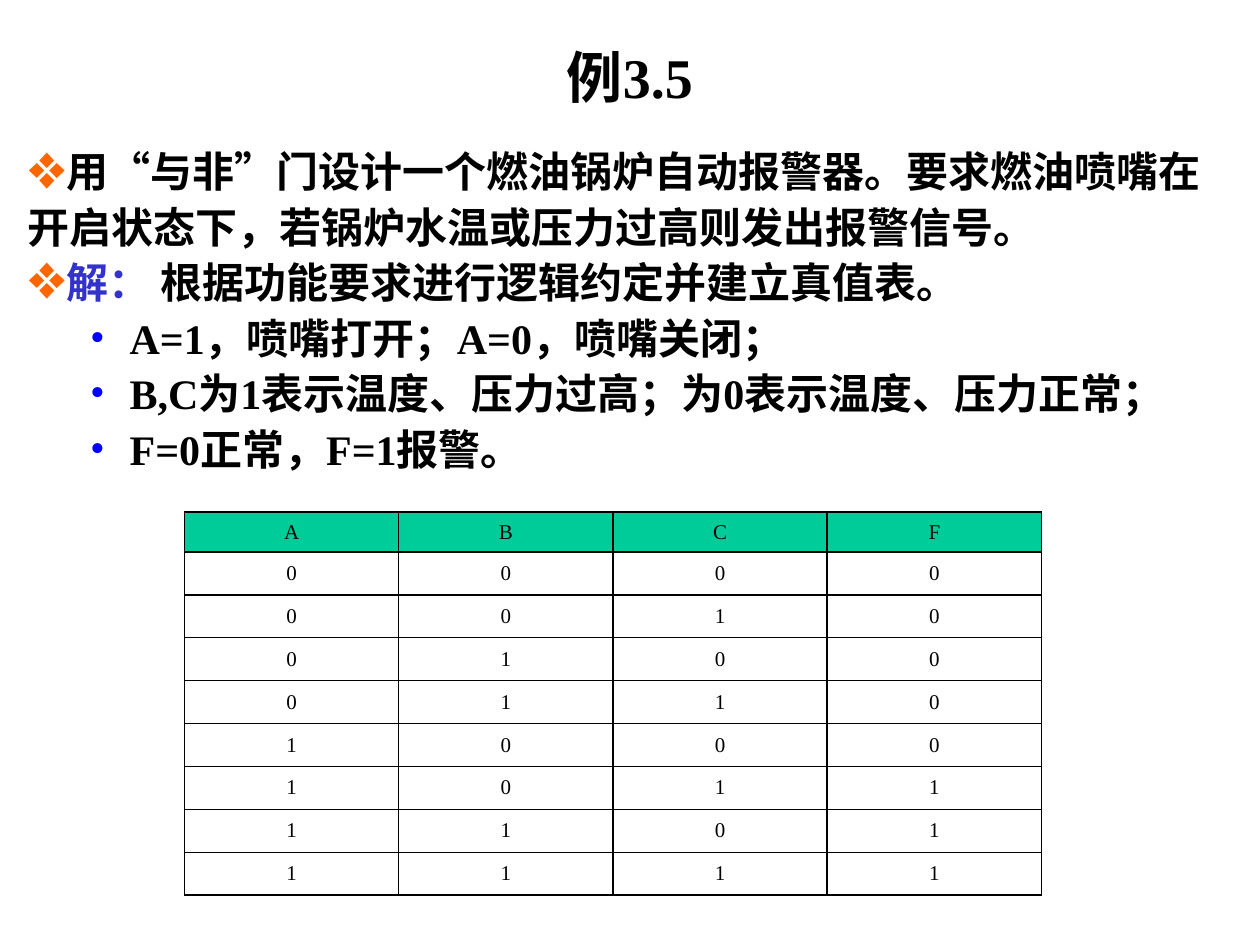
"""Build the slide for example 3.5: a boiler alarm and its truth table."""
import itertools
from dataclasses import dataclass

import pptx
import pptx.dml.color
import pptx.enum.lang
import pptx.enum.text
import pptx.oxml.ns
import pptx.util
from lxml import etree

Pt = pptx.util.Pt
RGB = pptx.dml.color.RGBColor.from_string
ANCHOR = pptx.enum.text.MSO_ANCHOR
ALIGN = pptx.enum.text.PP_ALIGN
CHINESE = pptx.enum.lang.MSO_LANGUAGE_ID.SIMPLIFIED_CHINESE


@dataclass
class Theme:
    font: str = "Times New Roman"
    ink: str = "000000"
    answer: str = "3333CC"
    diamond: str = "FF6600"
    dot: str = "0000FF"
    header: str = "00CC99"
    title_size: int = 32
    body_size: int = 24
    table_size: int = 12
    thin: float = 0.75
    thick: float = 1


theme = Theme()


def add_run(paragraph, text, size, color=theme.ink, bold=True):
    run = paragraph.add_run()
    run.text = text
    run.font.name = theme.font
    run.font.size = Pt(size)
    run.font.bold = bold
    run.font.color.rgb = RGB(color)
    run.font.language_id = CHINESE


def add_xml(parent, tag, **attributes):
    return etree.SubElement(parent, pptx.oxml.ns.qn(tag), {k: str(v) for k, v in attributes.items()})


deck = pptx.Presentation()
deck.slide_width, deck.slide_height = Pt(720), Pt(540)
slide = deck.slides.add_slide(deck.slide_layouts[5])

title = slide.shapes.title
title.left, title.top, title.width, title.height = Pt(54), Pt(31.5), Pt(612), Pt(24)
title.text_frame.vertical_anchor = ANCHOR.MIDDLE
heading = title.text_frame.paragraphs[0]
heading.alignment = ALIGN.CENTER
add_run(heading, "例3.5", theme.title_size)

points = [
    (0, [("用“与非”门设计一个燃油锅炉自动报警器。要求燃油喷嘴在开启状态下，若锅炉水温或压力过高则发出报警信号。", theme.ink)]),
    (0, [("解：", theme.answer), (" 根据功能要求进行逻辑约定并建立真值表。", theme.ink)]),
    (1, [("A=1，喷嘴打开；A=0，喷嘴关闭；", theme.ink)]),
    (1, [("B,C为1表示温度、压力过高；为0表示温度、压力正常；", theme.ink)]),
    (1, [("F=0正常，F=1报警。", theme.ink)]),
]
bullets = [("❖", theme.diamond, 120, 0, 0), ("•", theme.dot, 100, 58.5, -22.5)]

problem = slide.shapes.add_textbox(Pt(8.5), Pt(77), Pt(692.5), Pt(436)).text_frame
problem.word_wrap = True
for index, (level, runs) in enumerate(points):
    point = problem.add_paragraph() if index else problem.paragraphs[0]
    point.level = level
    point.line_spacing = 1.1
    symbol, color, percent, margin, indent = bullets[level]
    properties = point._p.get_or_add_pPr()
    properties.set("marL", str(Pt(margin)))
    properties.set("indent", str(Pt(indent)))
    add_xml(add_xml(properties, "a:buClr"), "a:srgbClr", val=color)
    add_xml(properties, "a:buSzPct", val=percent * 1000)
    add_xml(properties, "a:buFont", typeface=theme.font)
    add_xml(properties, "a:buChar", char=symbol)
    for text, ink in runs:
        add_run(point, text, theme.body_size, ink)

inputs = list(itertools.product((0, 1), repeat=3))
truth_rows = [("A", "B", "C", "F")] + [(a, b, c, int(a and (b or c))) for a, b, c in inputs]
row_count, column_count = len(truth_rows), len(truth_rows[0])
truth_table = slide.shapes.add_table(
    row_count, column_count, Pt(105.5), Pt(292.5), Pt(490), Pt(219)).table
truth_table.first_row = False
truth_table.horz_banding = False
for column in truth_table.columns:
    column.width = Pt(122.4)

for r, values in enumerate(truth_rows):
    truth_table.rows[r].height = Pt(24.5 if r else 23)
    thick_columns = (3,) if r else (2, 3)
    for c, value in enumerate(values):
        cell = truth_table.cell(r, c)
        cell.vertical_anchor = ANCHOR.MIDDLE
        edges = {
            "a:lnL": c in thick_columns,
            "a:lnR": c + 1 in thick_columns,
            "a:lnT": r in (0, 1),
            "a:lnB": r in (0, row_count - 1),
        }
        for edge, is_thick in edges.items():
            width = Pt(theme.thick if is_thick else theme.thin)
            line = add_xml(cell._tc.get_or_add_tcPr(), edge, w=width)
            add_xml(add_xml(line, "a:solidFill"), "a:srgbClr", val=theme.ink)
        if r == 0:
            cell.fill.solid()
            cell.fill.fore_color.rgb = RGB(theme.header)
        else:
            cell.fill.background()
        entry = cell.text_frame.paragraphs[0]
        entry.alignment = ALIGN.CENTER
        add_run(entry, str(value), theme.table_size, bold=False)

deck.save("out.pptx")
